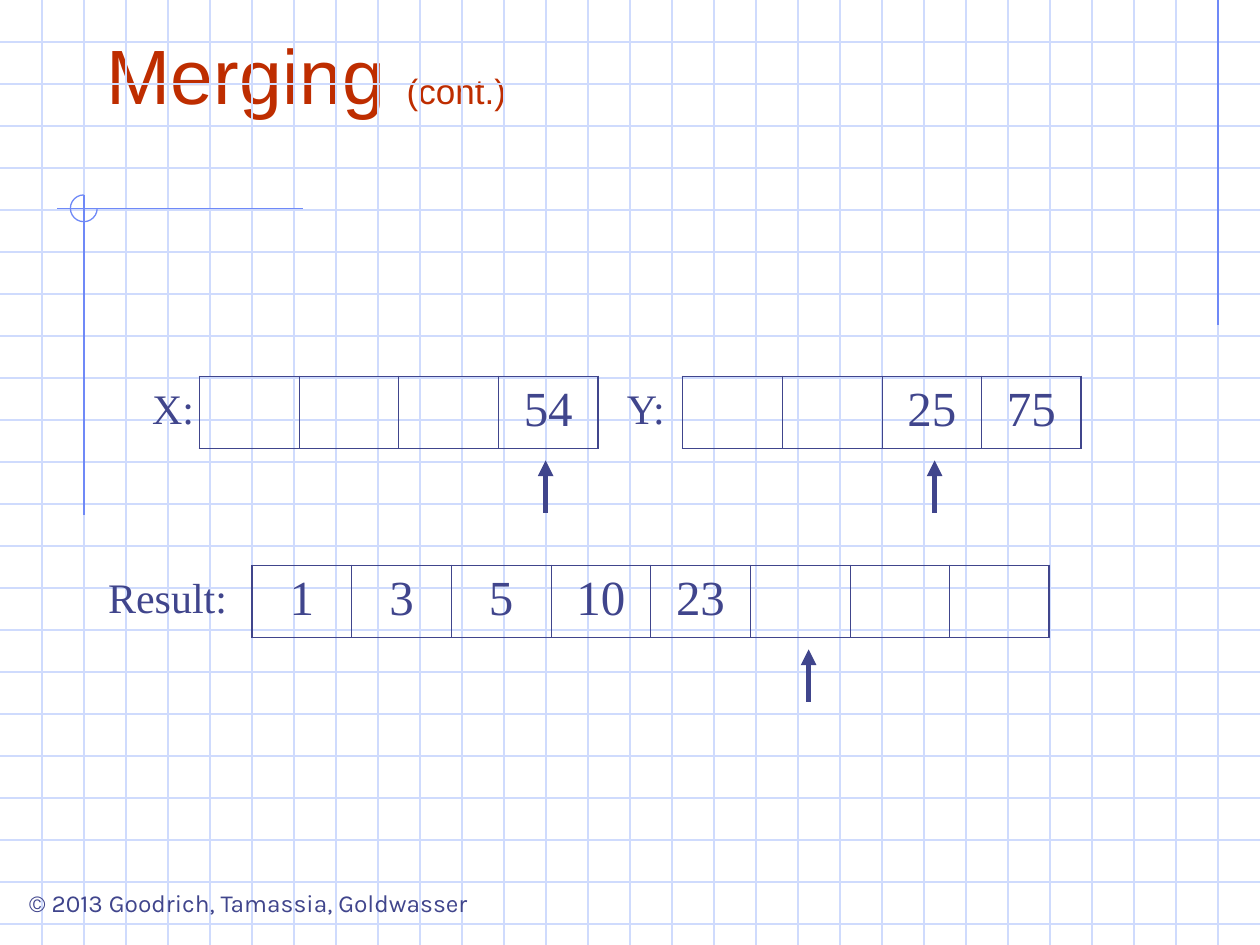
from dataclasses import dataclass

from lxml.etree import SubElement
from pptx import Presentation
from pptx.dml.color import RGBColor
from pptx.enum.shapes import MSO_CONNECTOR, MSO_SHAPE
from pptx.enum.text import MSO_ANCHOR, MSO_AUTO_SIZE, PP_ALIGN
from pptx.oxml import parse_xml
from pptx.oxml.ns import nsdecls, qn
from pptx.slide import Slide
from pptx.util import Cm, Pt

INK, RED, GRID, ACCENT = "40458C", "BE2D00", "CFDBFD", "6F89F7"
SERIF = "Times New Roman"
WIDTH, HEIGHT = 25.4, 19.05
STEP = WIDTH / 30
CELL_W, CELL_H = 2.01, 1.45
TOP_ROW, RESULT_ROW = 7.59, 11.4


@dataclass
class Line:
    x1: float
    y1: float
    x2: float
    y2: float
    color: str
    width: float = 0.75
    arrow: bool = False


@dataclass
class Label:
    text: str
    x: float
    y: float
    w: float
    h: float
    size: int = 24
    font: str = SERIF
    before: int = 15
    wrap: bool = True


@dataclass
class Array:
    x: float
    y: float
    values: list[str]


def rgb(color: str) -> RGBColor:
    return RGBColor.from_string(color)


def apply(target, values: dict) -> None:
    for name, value in values.items():
        setattr(target, name, value)


def add_run(p, text: str, size: float, font: str, color: str) -> None:
    r = p.add_run()
    r.text = text
    apply(r.font, {"size": Pt(size), "name": font, "bold": False})
    r.font.color.rgb = rgb(color)


def draw_line(s: Slide, line: Line) -> None:
    ends = (Cm(v) for v in (line.x1, line.y1, line.x2, line.y2))
    sp = s.shapes.add_connector(MSO_CONNECTOR.STRAIGHT, *ends)
    sp.line.color.rgb = rgb(line.color)
    sp.line.width = Pt(line.width)
    if line.arrow:
        SubElement(sp.line._get_or_add_ln(), qn("a:tailEnd"), type="triangle")
    SubElement(sp._element.spPr, qn("a:effectLst"))


def draw_label(s: Slide, label: Label) -> None:
    sp = s.shapes.add_textbox(Cm(label.x), Cm(label.y), Cm(label.w), Cm(label.h))
    tf = sp.text_frame
    apply(tf, {"word_wrap": label.wrap, "auto_size": MSO_AUTO_SIZE.SHAPE_TO_FIT_TEXT})
    p = tf.paragraphs[0]
    apply(p, {"alignment": PP_ALIGN.CENTER, "space_before": Pt(label.before)})
    add_run(p, label.text, label.size, label.font, INK)


def set_borders(cell, first: bool, last: bool) -> None:
    widths = {"lnL": 1.08 if first else 0.45, "lnR": 1.08 if last else 0.45,
              "lnT": 1.08, "lnB": 1.08}
    tcPr = cell._tc.get_or_add_tcPr()
    for i, (side, width) in enumerate(widths.items()):
        tcPr.insert(i, parse_xml(
            f'<a:{side} {nsdecls("a")} w="{Pt(width)}"><a:solidFill>'
            f'<a:srgbClr val="{INK}"/></a:solidFill></a:{side}>'))


def draw_array(s: Slide, array: Array) -> None:
    n = len(array.values)
    table = s.shapes.add_table(1, n, Cm(array.x), Cm(array.y),
                               Cm(CELL_W * n), Cm(CELL_H)).table
    apply(table, {"first_row": False, "horz_banding": False})
    for i, value in enumerate(array.values):
        table.columns[i].width = Cm(CELL_W)
        cell = table.cell(0, i)
        cell.fill.background()
        set_borders(cell, i == 0, i == n - 1)
        if value:
            p = cell.text_frame.paragraphs[0]
            apply(p, {"alignment": PP_ALIGN.CENTER, "space_before": Pt(7)})
            add_run(p, value, 28, SERIF, INK)


def draw_background(s: Slide) -> None:
    for i in range(1, 23):
        draw_line(s, Line(0, i * STEP, WIDTH, i * STEP, GRID))
    for i in range(1, 30):
        draw_line(s, Line(i * STEP, 0, i * STEP, HEIGHT, GRID))
    for line in (Line(29 * STEP, 0, 29 * STEP, 6.56, ACCENT),
                 Line(6.1, 4.21, 1.14, 4.21, ACCENT),
                 Line(2 * STEP, 3.93, 2 * STEP, 10.39, ACCENT)):
        draw_line(s, line)
    sp = s.shapes.add_shape(MSO_SHAPE.ARC, Cm(1.42), Cm(3.93), Cm(0.54), Cm(0.54))
    sp.shadow.inherit = False
    sp.adjustments[0], sp.adjustments[1] = 0, 162
    sp.fill.background()
    sp.line.color.rgb = rgb(ACCENT)
    sp.line.width = Pt(0.75)


def set_title(s: Slide) -> None:
    sp = s.shapes.title
    apply(sp, {"left": Cm(1.9), "top": Cm(0.42), "width": Cm(21.6), "height": Cm(2.12)})
    tf = sp.text_frame
    apply(tf, {"vertical_anchor": MSO_ANCHOR.BOTTOM, "word_wrap": True,
               "auto_size": MSO_AUTO_SIZE.NONE})
    p = tf.paragraphs[0]
    p.alignment = PP_ALIGN.LEFT
    add_run(p, "Merging ", 44, "Arial", RED)
    add_run(p, "(cont.)", 20, "Arial", RED)


def main() -> None:
    prs = Presentation()
    apply(prs, {"slide_width": Cm(WIDTH), "slide_height": Cm(HEIGHT)})
    s = prs.slides.add_slide(prs.slide_layouts[5])
    s.background.fill.solid()
    s.background.fill.fore_color.rgb = rgb("FFFFFF")
    draw_background(s)
    set_title(s)

    for array in (Array(4.02, TOP_ROW, ["", "", "", "54"]),
                  Array(13.76, TOP_ROW, ["", "", "25", "75"]),
                  Array(5.08, RESULT_ROW, ["1", "3", "5", "10", "23", "", "", ""])):
        draw_array(s, array)
    for x, row in ((11, TOP_ROW), (18.84, TOP_ROW), (16.3, RESULT_ROW)):
        draw_line(s, Line(x, row + 2.75, x, row + 1.69, INK, 3, True))
    for label in (Label("X:", 2.75, TOP_ROW, 1.48, 1.28),
                  Label("Y:", 12.28, TOP_ROW, 1.48, 1.28),
                  Label("Result:", 1.9, RESULT_ROW, 2.96, 1.28),
                  Label("© 2013 Goodrich, Tamassia, Goldwasser", 0.08, 17.78,
                        9.86, 0.86, 14, "Karla", 0, False)):
        draw_label(s, label)
    prs.save("out.pptx")


if __name__ == "__main__":
    main()
